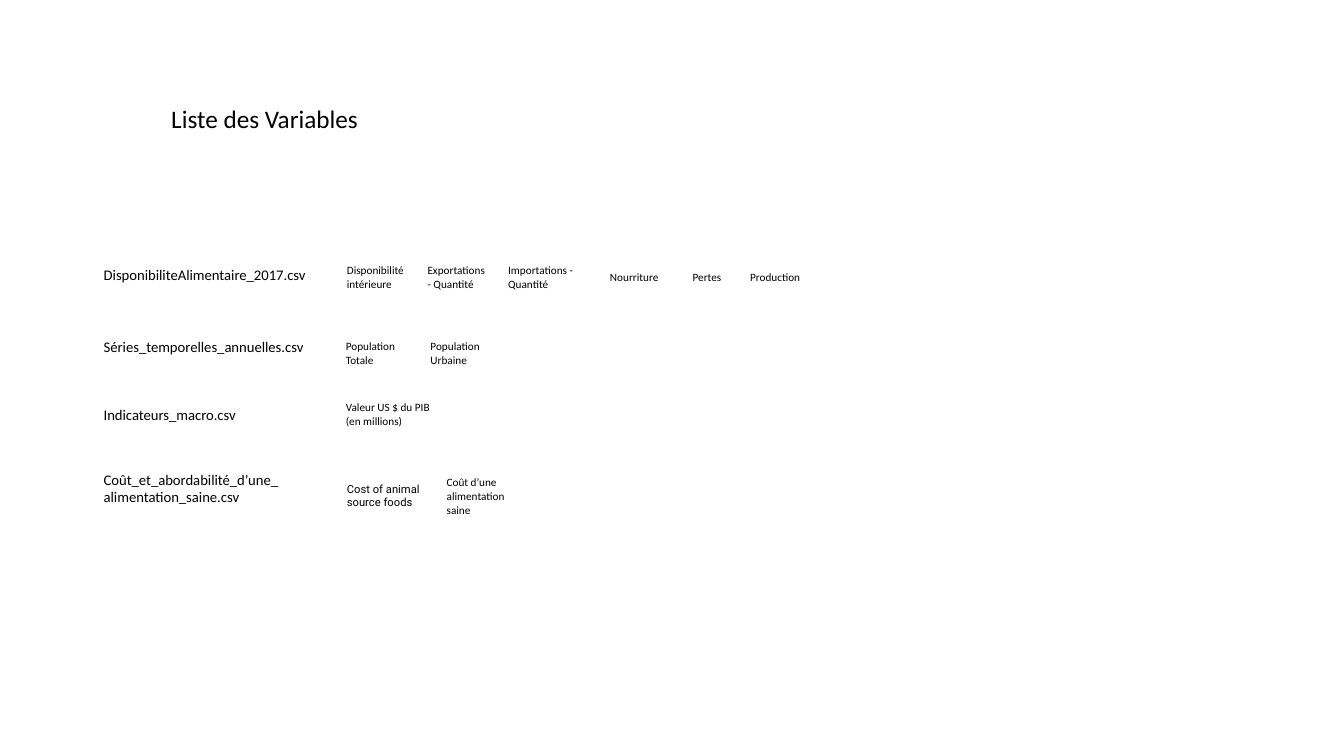
from dataclasses import dataclass

from pptx import Presentation
from pptx import util as u
from pptx.dml import color
from pptx.enum import text


@dataclass(frozen=True)
class Theme:
    ink: color.RGBColor = color.RGBColor(0, 0, 0)
    font: str = "Calibri"
    accent_font: str = "Roboto"
    title_size: float = 18
    file_size: float = 10.5
    variable_size: float = 8


THEME = Theme()


@dataclass(frozen=True)
class Label:
    words: str
    left: float
    top: float
    width: float
    height: float
    size: float = THEME.file_size
    wrap: bool = False


@dataclass(frozen=True)
class Variable:
    words: str
    width: float
    font: str = THEME.font


@dataclass(frozen=True)
class Source:
    file_label: Label
    left: float
    top: float
    height: float
    variables: tuple[Variable, ...]


FILE_LEFT = 0.93
TITLE = Label("Liste des Variables", 1.6, 0.98, 2.08, 0.4, THEME.title_size)

# Each data file with the variables taken from it
SOURCES = (
    Source(
        Label("DisponibiliteAlimentaire_2017.csv", FILE_LEFT, 2.59, 2.25, 0.28),
        3.34, 2.57, 0.37,
        (
            Variable("Disponibilité intérieure", 0.8),
            Variable("Exportations - Quantité", 0.8),
            Variable("Importations - Quantité", 1.01),
            Variable("Nourriture", 0.82),
            Variable("Pertes", 0.57),
            Variable("Production", 0.89),
        ),
    ),
    Source(
        Label("Séries_temporelles_annuelles.csv", FILE_LEFT, 3.3, 2.22, 0.28),
        3.33, 3.32, 0.37,
        (Variable("Population Totale", 0.84), Variable("Population Urbaine", 0.84)),
    ),
    Source(
        Label("Indicateurs_macro.csv", FILE_LEFT, 3.98, 1.76, 0.28, wrap=True),
        3.33, 3.93, 0.37,
        (Variable("Valeur US $ du PIB (en millions)", 1.16),),
    ),
    Source(
        Label("Coût_et_abordabilité_d’une_alimentation_saine.csv",
              FILE_LEFT, 4.62, 1.98, 0.45, wrap=True),
        3.34, 4.67, 0.5,
        (
            Variable("Cost of animal source foods", 0.99, THEME.accent_font),
            Variable("Coût d’une alimentation saine", 0.99),
        ),
    ),
)


def apply(target, formats: dict) -> None:
    for name, value in formats.items():
        setattr(target, name, value)


def write(paragraph, words: str, size: float, font: str = THEME.font) -> None:
    run = paragraph.add_run()
    run.text = words
    apply(run.font, {"size": u.Pt(size), "name": font, "bold": False})
    run.font.color.rgb = THEME.ink


def draw_label(slide, label: Label) -> None:
    area = (label.left, label.top, label.width, label.height)
    frame = slide.shapes.add_textbox(*map(u.Inches, area)).text_frame
    apply(frame, {"word_wrap": label.wrap,
                  "auto_size": text.MSO_AUTO_SIZE.SHAPE_TO_FIT_TEXT})
    write(frame.paragraphs[0], label.words, label.size)


def draw_variables(slide, source: Source) -> None:
    variables = source.variables
    area = (source.left, source.top, sum(v.width for v in variables), source.height)
    table = slide.shapes.add_table(1, len(variables), *map(u.Inches, area)).table
    apply(table, {"first_row": False, "horz_banding": False})
    for column, variable in enumerate(variables):
        table.columns[column].width = u.Inches(variable.width)
        cell = table.cell(0, column)
        cell.fill.background()
        apply(cell, {"vertical_anchor": text.MSO_ANCHOR.MIDDLE})
        write(cell.text_frame.paragraphs[0], variable.words,
              THEME.variable_size, variable.font)


def main() -> None:
    deck = Presentation()
    apply(deck, {"slide_width": u.Inches(13.33), "slide_height": u.Inches(7.5)})
    slide = deck.slides.add_slide(deck.slide_layouts[6])

    # Heading
    draw_label(slide, TITLE)

    # File names and their variables
    for source in SOURCES:
        draw_label(slide, source.file_label)
        draw_variables(slide, source)

    deck.save("out.pptx")


if __name__ == "__main__":
    main()
